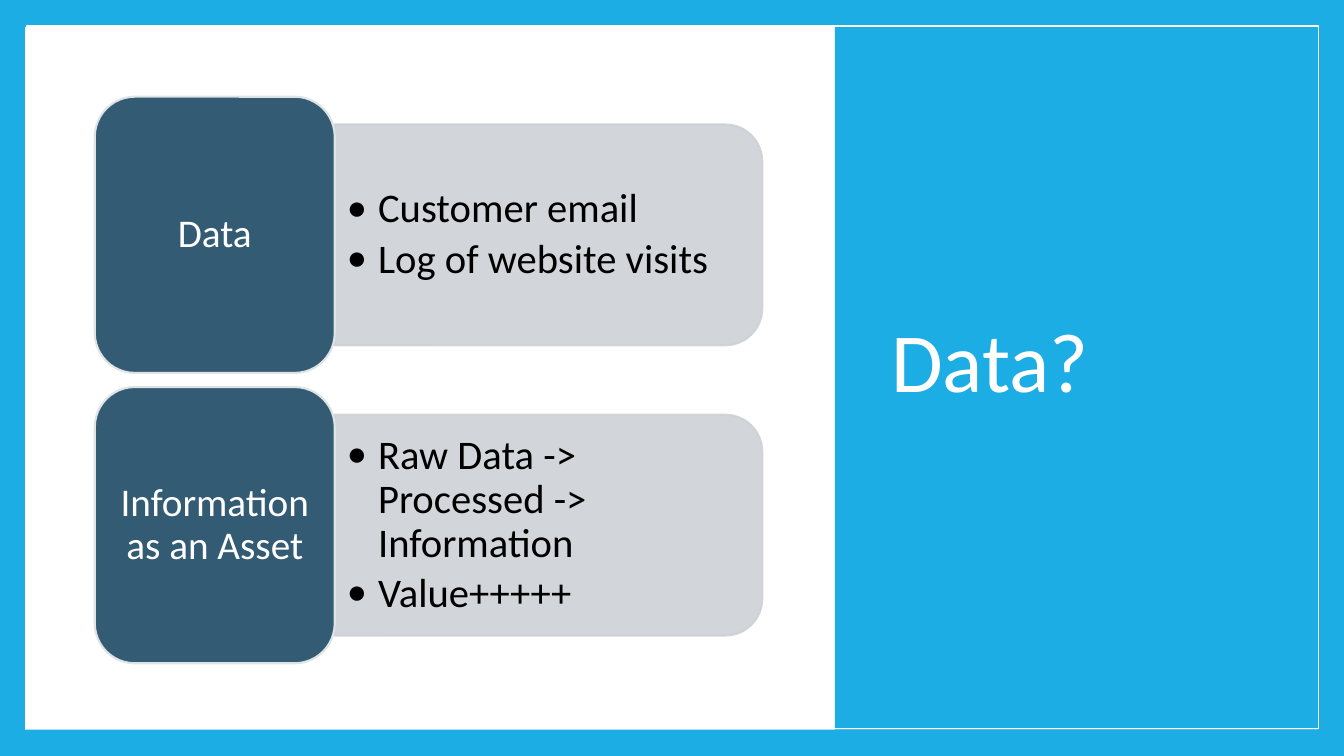
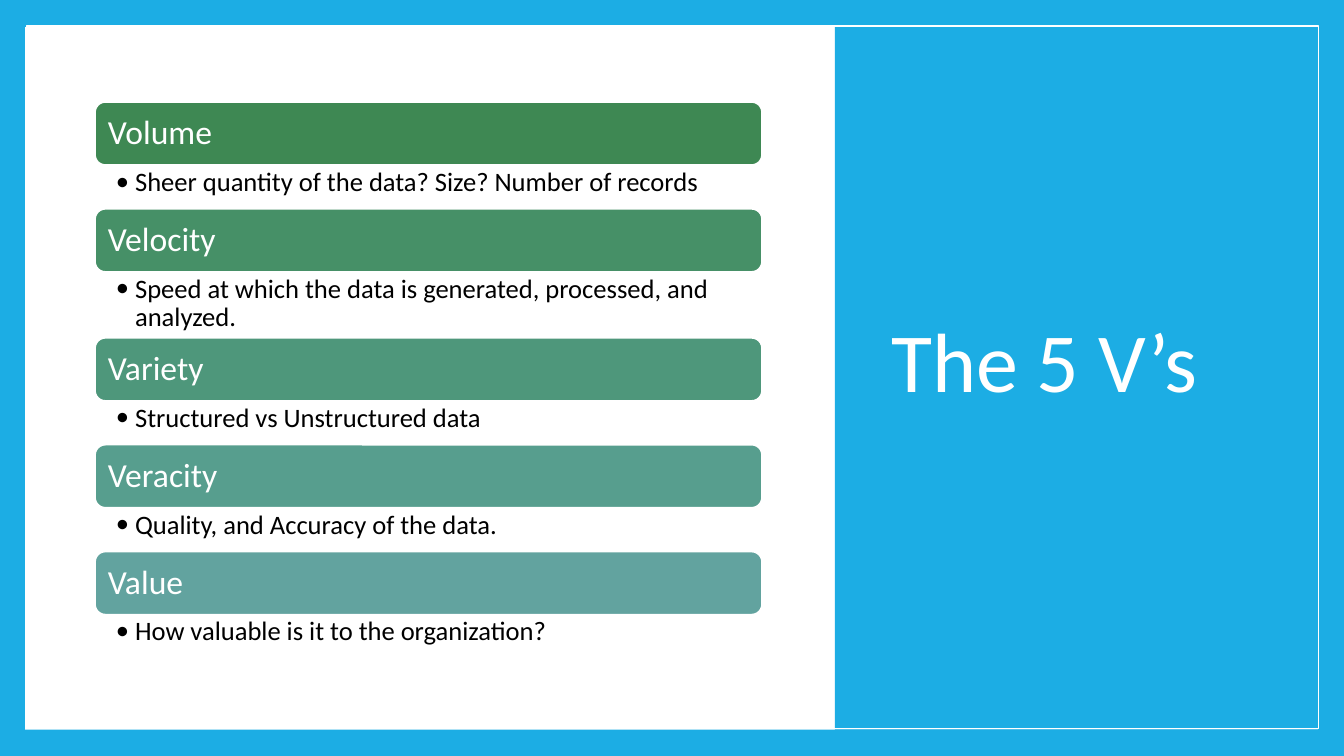
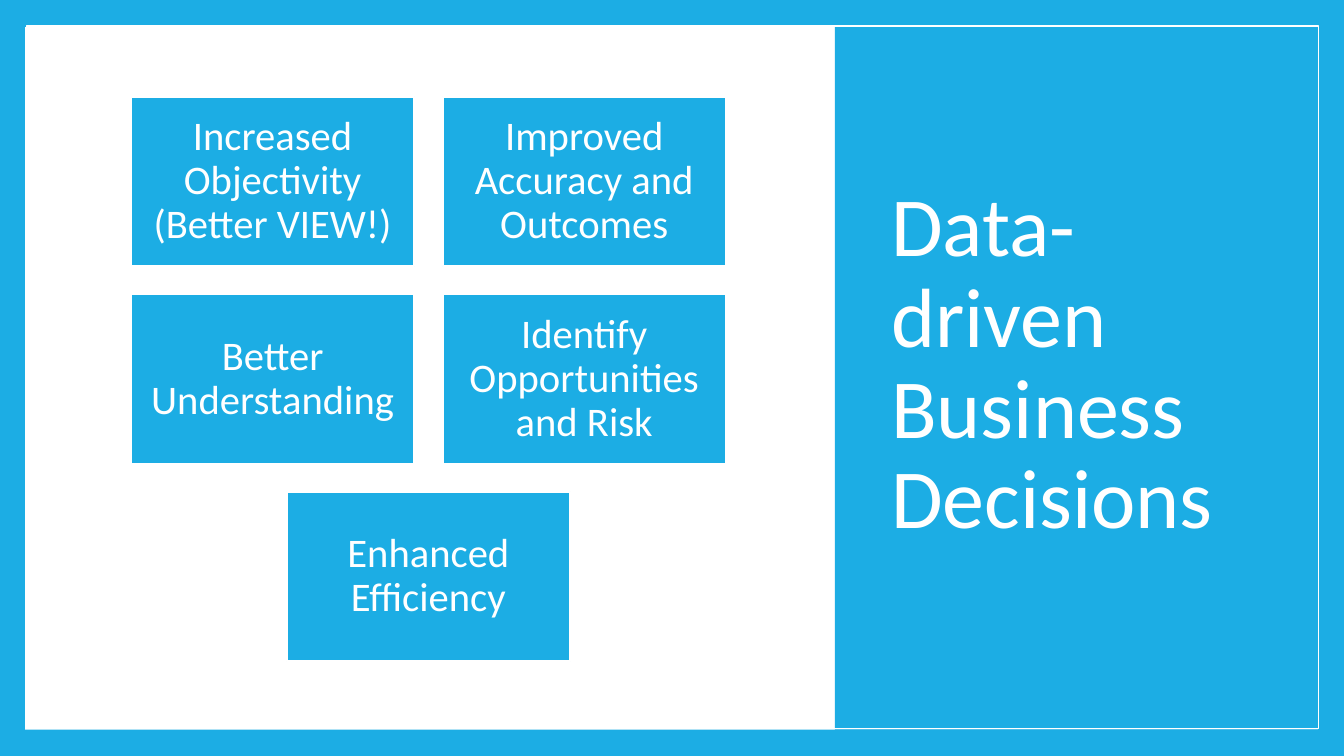
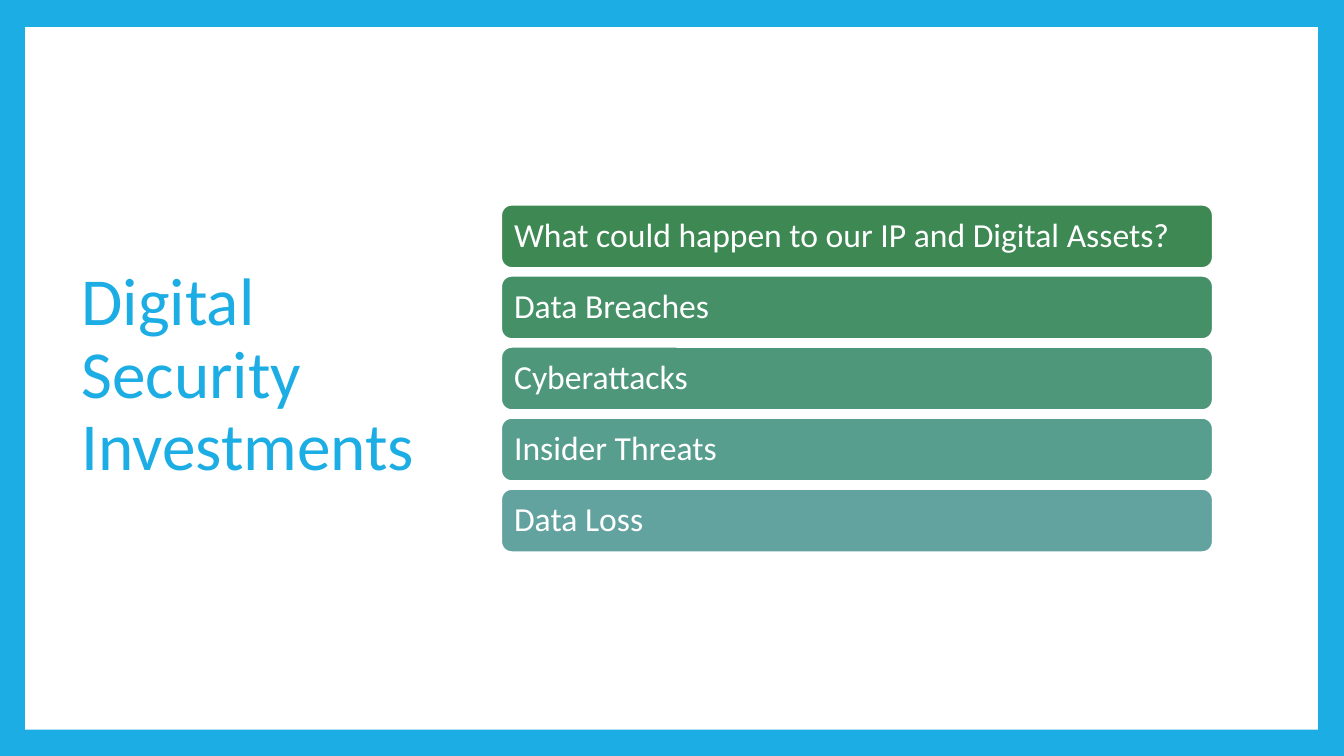
from pptx import Presentation
from pptx.dml.color import RGBColor
from pptx.enum.shapes import MSO_SHAPE
from pptx.enum.text import MSO_ANCHOR, PP_ALIGN
from pptx.oxml.ns import qn
from pptx.util import Inches, Pt
from lxml import etree

RECTANGLE = MSO_SHAPE.RECTANGLE
ROUNDED = MSO_SHAPE.ROUNDED_RECTANGLE
TWO_ROUNDED = MSO_SHAPE.ROUND_2_SAME_RECTANGLE
TOP, MIDDLE = MSO_ANCHOR.TOP, MSO_ANCHOR.MIDDLE
LEFT, CENTER = PP_ALIGN.LEFT, PP_ALIGN.CENTER

FONT = "Calibri"
COLORS = {
    "blue": "1CADE4",
    "white": "FFFFFF",
    "black": "000000",
    "navy": "335B74",
    "navy_edge": "DFE3E5",
    "gray": "CED2D6",
}
BAR_COLORS = ["3E8853", "469067", "4E977B", "579E8E", "62A39F"]
BAR_HEIGHT = 0.63
BAR_MARGINS = (0.1, 0.1, 0.1, 0.1)


def add_box(slide, kind, box, fill=None, line=None, line_width=1.5):
    """Add a preset shape; box is left, top, width, height in inches."""
    shape = slide.shapes.add_shape(kind, *[Inches(length) for length in box])
    shape.shadow.inherit = False
    for part, color in ((shape.fill, fill), (shape.line.fill, line)):
        if color:
            part.solid()
            part.fore_color.rgb = RGBColor.from_string(color)
        else:
            part.background()
    if line:
        shape.line.width = Pt(line_width)
    return shape


def write(shape, lines, size, color, align=LEFT, anchor=MIDDLE,
          margins=(0.1, 0.05, 0.1, 0.05), bullet_indent=0):
    """Fill a shape with one paragraph per line, bulleted if an indent is given."""
    frame = shape.text_frame
    frame.word_wrap = True
    frame.vertical_anchor = anchor
    (frame.margin_left, frame.margin_top,
     frame.margin_right, frame.margin_bottom) = [Inches(m) for m in margins]
    frame.text = "\n".join(lines)
    for number, paragraph in enumerate(frame.paragraphs):
        paragraph.alignment = align
        paragraph.line_spacing = 0.9
        if number:
            paragraph.space_before = Pt(4.5)
        if bullet_indent:
            properties = paragraph._p.get_or_add_pPr()
            properties.set("marL", str(Inches(bullet_indent)))
            properties.set("indent", str(-Inches(bullet_indent)))
            etree.SubElement(properties, qn("a:buFont")).set("typeface", FONT)
            etree.SubElement(properties, qn("a:buChar")).set("char", "•")
        for run in paragraph.runs:
            run.font.name = FONT
            run.font.size = Pt(size)
            run.font.color.rgb = RGBColor.from_string(color)


presentation = Presentation()
presentation.slide_width = Inches(13.33)
presentation.slide_height = Inches(7.5)
background = presentation.slide_master.background.fill
background.solid()
background.fore_color.rgb = RGBColor.from_string(COLORS["blue"])

# Shared frame and titles
side_title = ((8.74, 0.67, 3.91, 5.91), 60, "white")
left_title = ((0.71, 0.67, 3.68, 6.13), 48, "blue")
slides = []
for title, (title_box, size, color) in [
    ("Data?", side_title),
    ("The 5 V’s", side_title),
    ("Data-driven Business Decisions", side_title),
    ("Digital Security Investments", left_title),
]:
    slide = presentation.slides.add_slide(presentation.slide_layouts[6])
    add_box(slide, RECTANGLE, (0.25, 0.27, 12.82, 6.97), COLORS["white"])
    if title_box == side_title[0]:
        add_box(slide, RECTANGLE, (8.28, 0.26, 4.8, 6.98), COLORS["blue"])
        add_box(slide, RECTANGLE, (0.26, 0.26, 12.82, 6.97), None, COLORS["white"], 1)
    text_box = slide.shapes.add_textbox(*[Inches(length) for length in title_box])
    write(text_box, [title], size, COLORS[color])
    slides.append(slide)
data_slide, five_slide, decisions_slide, security_slide = slides

# Data and information cards
card_left, card_width, card_height = 0.94, 2.38, 2.74
panel_width, panel_height = 4.24, 2.19
cards = [
    ("Data", ["Customer email", "Log of website visits"]),
    ("Information as an Asset", ["Raw Data -> Processed -> Information", "Value+++++"]),
]
for row, (label, points) in enumerate(cards):
    card_top = 0.96 + row * 2.88
    middle = card_top + card_height / 2
    panel_left = card_left + card_width
    # The panel is turned a quarter, so its box is given before the turn
    panel = add_box(
        data_slide, TWO_ROUNDED,
        (panel_left + (panel_width - panel_height) / 2, middle - panel_width / 2,
         panel_height, panel_width),
        COLORS["gray"], COLORS["gray"])
    panel.rotation = 90
    for color_element in panel._element.spPr.iter(qn("a:srgbClr")):
        etree.SubElement(color_element, qn("a:alpha")).set("val", "90000")
    text_box = data_slide.shapes.add_textbox(
        Inches(panel_left), Inches(middle - 0.99), Inches(4.13), Inches(1.98))
    write(text_box, points, 29, COLORS["black"],
          margins=(0.12, 0.06, 0.12, 0.06), bullet_indent=0.31)
    card = add_box(data_slide, ROUNDED, (card_left, card_top, card_width, card_height),
                   COLORS["navy"], COLORS["navy_edge"])
    write(card, [label], 28, COLORS["white"], CENTER, margins=(0.12, 0.06, 0.12, 0.06))

# Five V's: bars with a note under each
five_vs = [
    ("Volume", "Sheer quantity of the data? Size? Number of records", 0.43),
    ("Velocity", "Speed at which the data is generated, processed, and analyzed.", 0.65),
    ("Variety", "Structured vs Unstructured data", 0.43),
    ("Veracity", "Quality, and Accuracy of the data.", 0.43),
    ("Value", "How valuable is it to the organization?", 0.43),
]
top = 1.01
for (label, note, note_height), color in zip(five_vs, BAR_COLORS):
    bar = add_box(five_slide, ROUNDED, (0.94, top, 6.62, BAR_HEIGHT), color, COLORS["white"])
    write(bar, [label], 24, COLORS["white"], margins=BAR_MARGINS)
    top += BAR_HEIGHT
    text_box = five_slide.shapes.add_textbox(
        Inches(0.94), Inches(top), Inches(6.62), Inches(note_height))
    write(text_box, [note], 19, COLORS["black"], anchor=TOP,
          margins=(0.21, 0.03, 0.19, 0.03), bullet_indent=0.19)
    top += note_height

# Decision tiles: rows centred on one axis
tile_width, tile_height, gap = 2.81, 1.68, 0.28
tile_axis = 4.25
tile_rows = [
    ["Increased Objectivity (Better VIEW!)", "Improved Accuracy and Outcomes"],
    ["Better Understanding", "Identify Opportunities and Risk"],
    ["Enhanced Efficiency"],
]
for row, labels in enumerate(tile_rows):
    row_width = len(labels) * (tile_width + gap) - gap
    for column, label in enumerate(labels):
        tile = add_box(
            decisions_slide, RECTANGLE,
            (tile_axis - row_width / 2 + column * (tile_width + gap),
             0.96 + row * (tile_height + gap), tile_width, tile_height),
            COLORS["blue"], COLORS["white"])
        write(tile, [label], 29, COLORS["white"], CENTER, margins=(0.12, 0.12, 0.12, 0.12))

# Security bars
first_top, last_top = 2.03, 4.85
threats = [
    "What could happen to our IP and Digital Assets?",
    "Data Breaches",
    "Cyberattacks",
    "Insider Threats",
    "Data Loss",
]
step = (last_top - first_top) / (len(threats) - 1)
for row, (threat, color) in enumerate(zip(threats, BAR_COLORS)):
    bar = add_box(security_slide, ROUNDED, (4.97, first_top + row * step, 7.06, BAR_HEIGHT),
                  color, COLORS["white"])
    write(bar, [threat], 24, COLORS["white"], margins=BAR_MARGINS)

presentation.save("out.pptx")
